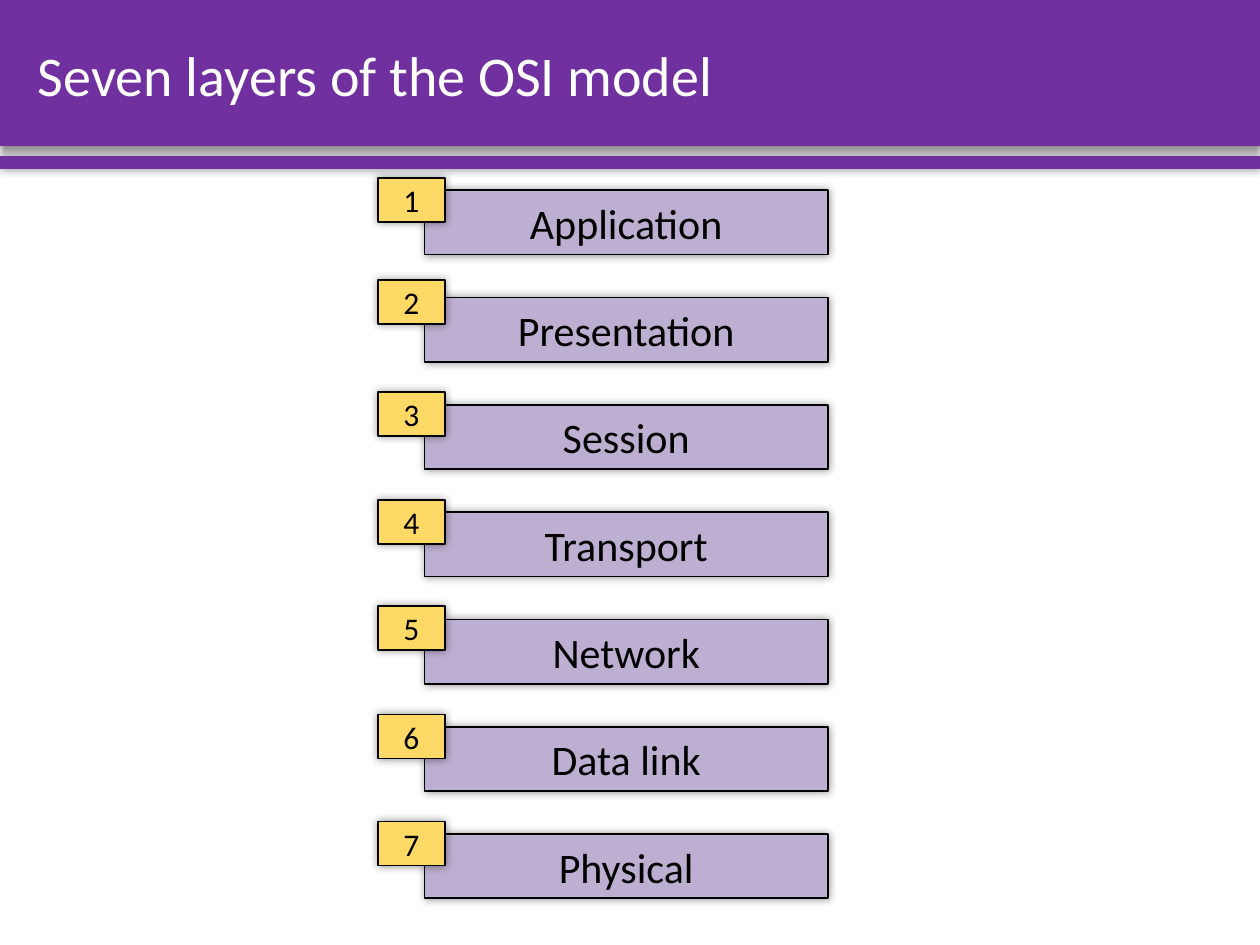
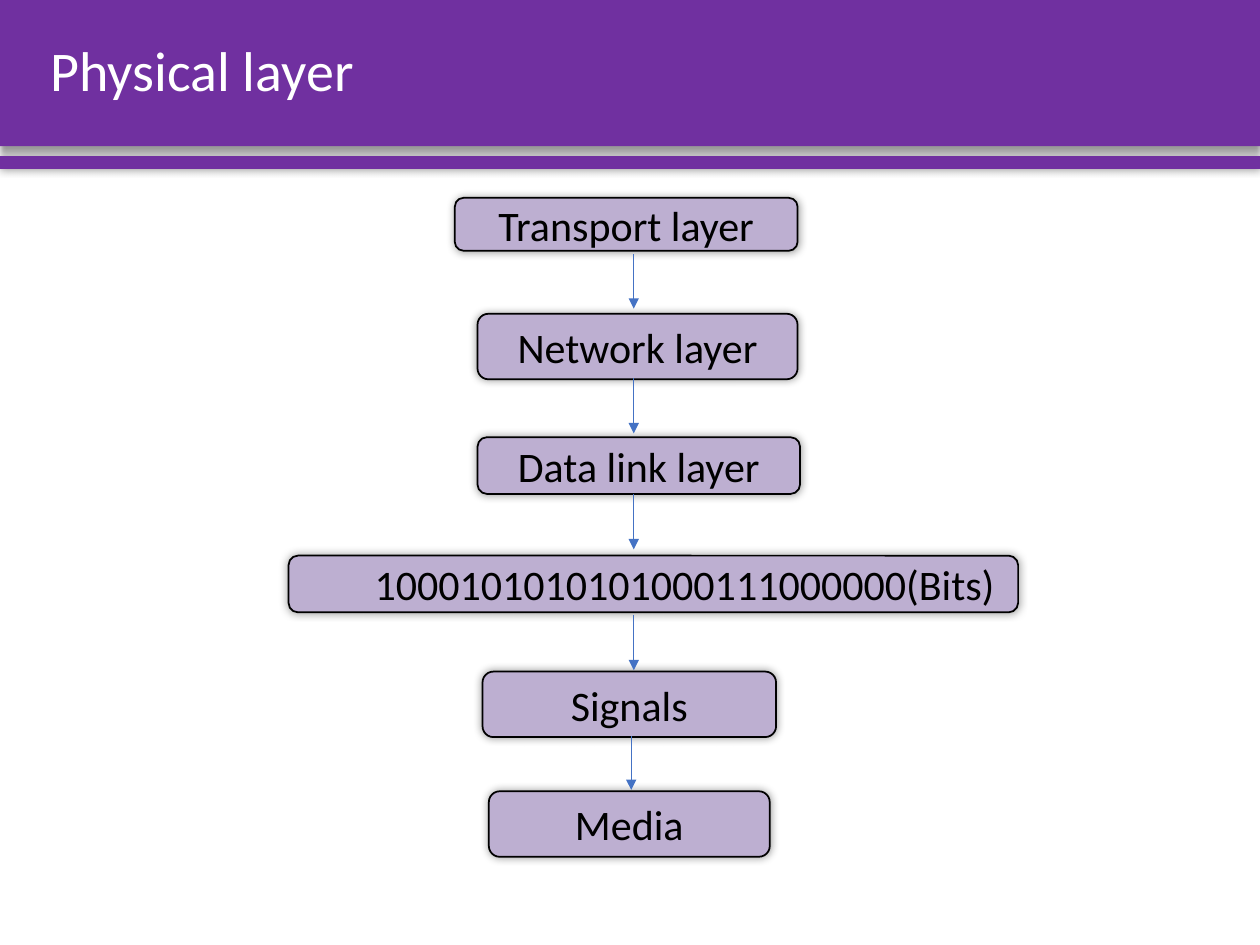
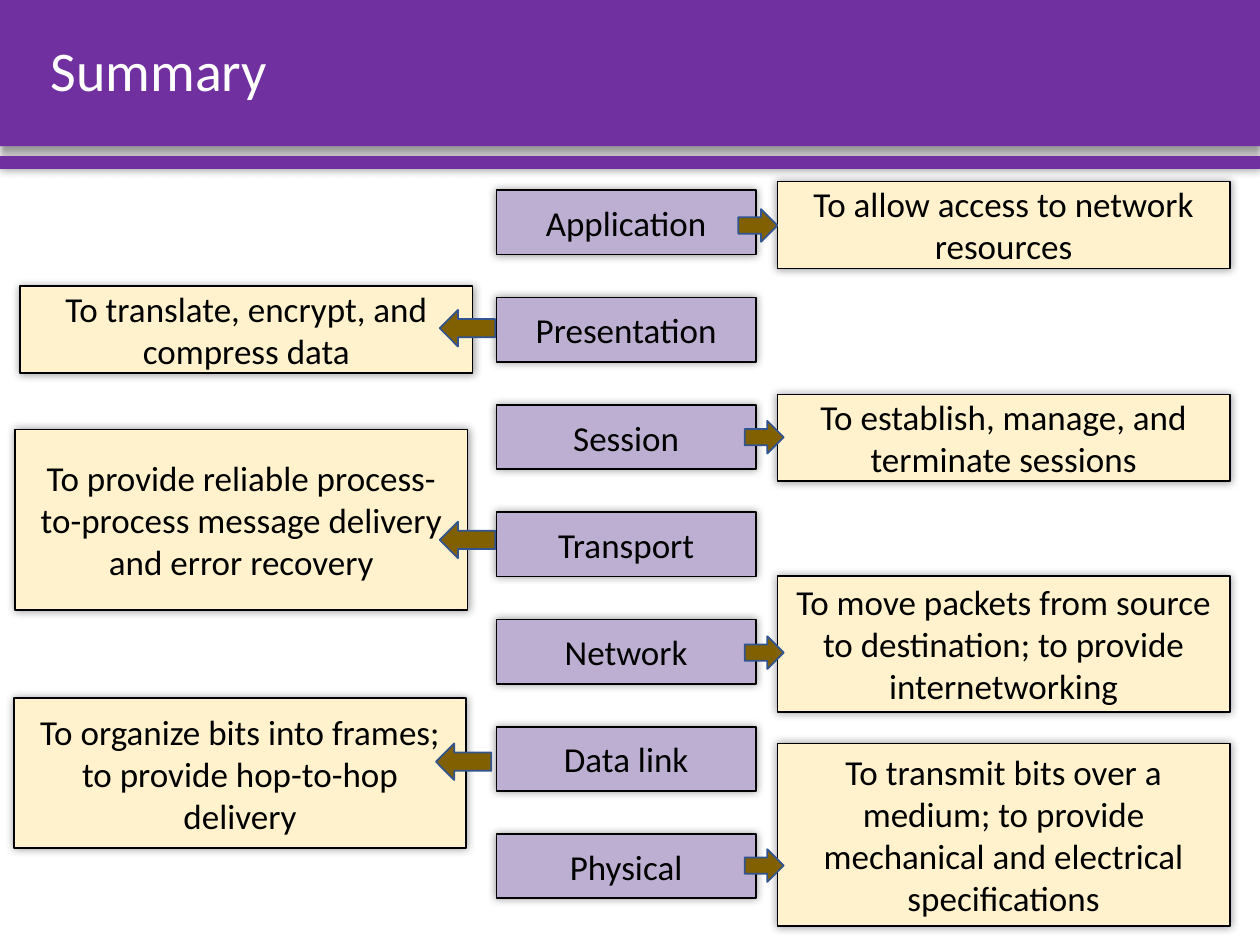
"""Build three slides on the OSI model."""
from dataclasses import dataclass

from lxml.etree import SubElement
from pptx import Presentation
from pptx.dml.color import RGBColor
from pptx.enum.shapes import MSO_CONNECTOR, MSO_SHAPE
from pptx.enum.text import MSO_ANCHOR, MSO_AUTO_SIZE, PP_ALIGN
from pptx.oxml.ns import qn
from pptx.util import Inches, Pt

WIDTH, HEIGHT = Inches(10), Inches(7.5)
COLUMN, ROW = WIDTH / 100, HEIGHT / 75
FONT = "Calibri"
PURPLE, LILAC, GOLD, CREAM = "7030A0", "BDAFD1", "FFD966", "FFF2CC"
BROWN, NAVY, BLUE, BLACK, WHITE = "806000", "325491", "4472C4", "000000", "FFFFFF"
LAYERS = ("Application", "Presentation", "Session", "Transport",
          "Network", "Data link", "Physical")
FIRST_ROW, LAST_ROW, LAYER_ROWS = 15.1, 66.2, 5.1
LAYER_PITCH = (LAST_ROW - FIRST_ROW) / (len(LAYERS) - 1)
BADGE_ROWS = (14.1, 22.2, 31.1, 39.7, 48.1, 56.7, 65.2)


@dataclass(frozen=True)
class Area:
    """A rectangle in grid columns and rows."""
    left: float
    top: float
    width: float
    height: float

    def place(self) -> tuple[int, int, int, int]:
        """Return the rectangle in slide units."""
        return (round(self.left * COLUMN), round(self.top * ROW),
                round(self.width * COLUMN), round(self.height * ROW))


@dataclass(frozen=True)
class Shadow:
    """A soft black shadow, in points and degrees."""
    blur: float = 5
    distance: float = 0
    angle: int = 0


@dataclass(frozen=True)
class Card:
    """A labelled box."""
    label: str
    area: Area
    level: int = 0


@dataclass(frozen=True)
class Arrow:
    """A vertical arrow down the physical layer chain."""
    column: float
    top: float
    bottom: float


CHAIN = (
    Card("Transport layer", Area(36.1, 15.7, 27.2, 4.2)),
    Card("Network layer", Area(37.9, 24.9, 25.4, 5.2)),
    Card("Data link layer", Area(37.9, 34.7, 25.6, 4.5)),
    Card("1000101010101000111000000(Bits)", Area(22.9, 44.1, 57.9, 4.5), 1),
    Card("Signals", Area(38.3, 53.3, 23.3, 5.2)),
    Card("Media", Area(38.8, 62.8, 22.3, 5.2)),
)
CHAIN_ARROWS = (
    Arrow(50.3, 20.2, 24.5), Arrow(50.3, 30, 34.4), Arrow(50.3, 39.2, 43.6),
    Arrow(50.3, 48.8, 53.2), Arrow(50.1, 58.4, 62.7),
)
DUTIES = (
    Card("To allow access to network resources", Area(61.7, 14.4, 35.9, 6.9)),
    Card("To translate, encrypt, and compress data", Area(1.6, 22.7, 35.9, 6.9)),
    Card("To establish, manage, and terminate sessions", Area(61.7, 31.3, 35.9, 6.9)),
    Card("To provide reliable process-to-process message delivery and error recovery",
         Area(1.2, 34.1, 35.9, 14.3)),
    Card("To move packets from source to destination; to provide internetworking",
         Area(61.7, 45.7, 35.9, 10.8)),
    Card("To organize bits into frames; to provide hop-to-hop delivery",
         Area(1.1, 55.4, 35.9, 11.9)),
    Card("To transmit bits over a medium; to provide mechanical and electrical specifications",
         Area(61.7, 59, 35.9, 14.5)),
)
LEFT_POINTERS = ((34.9, 24.6), (34.9, 41.4), (34.6, 59))
RIGHT_POINTERS = ((58.6, 16.6), (59.1, 33.4), (59.1, 50.5), (59.1, 67.4))


def color(code: str) -> RGBColor:
    """Turn a hex string into a colour."""
    return RGBColor.from_string(code)


def apply(target, formats: dict) -> None:
    """Set each named attribute on the target."""
    for name, value in formats.items():
        setattr(target, name, value)


def write(frame, label: str, size: float, code: str, align: PP_ALIGN, **formats) -> None:
    """Write one paragraph in the shared font."""
    apply(frame, {"word_wrap": True, "vertical_anchor": MSO_ANCHOR.MIDDLE})
    para = frame.paragraphs[0]
    apply(para, {"alignment": align, **formats})
    span = para.add_run()
    span.text = label
    apply(span.font, {"name": FONT, "size": Pt(size)})
    span.font.color.rgb = color(code)


def add_shadow(shape, shadow: Shadow) -> None:
    """Give a shape a soft outer shadow."""
    effects = shape.element.spPr.find(qn("a:effectLst"))
    outer = SubElement(effects, qn("a:outerShdw"), blurRad=str(Pt(shadow.blur)),
                       dist=str(Pt(shadow.distance)), dir=str(shadow.angle * 60000),
                       algn="ctr", rotWithShape="0")
    tint = SubElement(outer, qn("a:srgbClr"), val=BLACK)
    SubElement(tint, qn("a:alpha"), val="40000")


def add_block(shapes, kind: MSO_SHAPE, area: Area, fill: str,
              line: str | None = None, shadow: Shadow | None = None):
    """Draw a filled preset shape."""
    shape = shapes.add_shape(kind, *area.place())
    shape.shadow.inherit = False
    shape.fill.solid()
    shape.fill.fore_color.rgb = color(fill)
    if line:
        shape.line.color.rgb = color(line)
        shape.line.width = Pt(1)
    else:
        shape.line.fill.background()
    if shadow:
        add_shadow(shape, shadow)
    return shape


def add_card(shapes, card: Card, fill: str, size: float,
             kind: MSO_SHAPE = MSO_SHAPE.RECTANGLE) -> None:
    """Draw an outlined box with a centred label."""
    shape = add_block(shapes, kind, card.area, fill, BLACK, Shadow())
    write(shape.text_frame, card.label, size, BLACK, PP_ALIGN.CENTER, level=card.level)


def add_arrow(shapes, arrow: Arrow) -> None:
    """Draw a thin arrow pointing down."""
    left, top, _, drop = Area(arrow.column, arrow.top, 0, arrow.bottom - arrow.top).place()
    line = shapes.add_connector(MSO_CONNECTOR.STRAIGHT, left, top, left, top + drop)
    line.line.color.rgb = color(BLUE)
    line.line.width = Pt(0.5)
    properties = line.element.spPr
    SubElement(properties.find(qn("a:ln")), qn("a:tailEnd"), type="triangle")
    SubElement(properties, qn("a:effectLst"))


def add_layers(shapes, left: float, width: float, size: float) -> None:
    """Stack the seven layers at equal gaps."""
    for index, name in enumerate(LAYERS):
        area = Area(left, FIRST_ROW + index * LAYER_PITCH, width, LAYER_ROWS)
        add_card(shapes, Card(name, area), LILAC, size)


def add_bands(page, layout) -> None:
    """Draw the header bands and move them to the layout."""
    bands = ((Area(0, 0, 100, 11.6), Shadow(4, 3, 90)),
             (Area(0, 12.4, 100, 1), Shadow()))
    for index, (area, shadow) in enumerate(bands):
        band = add_block(page.shapes, MSO_SHAPE.RECTANGLE, area, PURPLE, shadow=shadow)
        band.element.nvSpPr.cNvPr.set("id", str(20 + index))
        layout.shapes.element.insert(2 + index, band.element)


def add_page(deck, title: str, margins: dict | None = None, **formats):
    """Add a slide with its title in the header band."""
    page = deck.slides.add_slide(deck.slide_layouts[5])
    heading = page.shapes.title
    names = ("left", "top", "width", "height")
    apply(heading, dict(zip(names, Area(3, 0, 94.6, 11.6).place())))
    apply(heading.text_frame, {"auto_size": MSO_AUTO_SIZE.NONE, **(margins or {})})
    write(heading.text_frame, title, 32, WHITE, PP_ALIGN.LEFT, **formats)
    return page


def build_layers(deck) -> None:
    """Build the numbered list of layers."""
    flush = {"margin_left": 0, "margin_right": 0,
             "margin_top": Inches(0.01), "margin_bottom": 0}
    page = add_page(deck, "Seven layers of the OSI model", flush)
    add_bands(page, deck.slide_layouts[5])
    add_layers(page.shapes, 33.7, 32, 24)
    for number, top in enumerate(BADGE_ROWS, 1):
        add_card(page.shapes, Card(str(number), Area(30, top, 5.3, 3.5)), GOLD, 18)


def build_physical(deck) -> None:
    """Build the chain from transport layer to media."""
    page = add_page(deck, "Physical layer", line_spacing=0.9)
    group = page.shapes.add_group_shape()
    for card in CHAIN:
        add_card(group.shapes, card, LILAC, 24, MSO_SHAPE.ROUNDED_RECTANGLE)
    for arrow in CHAIN_ARROWS:
        add_arrow(group.shapes, arrow)


def build_summary(deck) -> None:
    """Build the layers with their duties at both sides."""
    page = add_page(deck, "Summary", line_spacing=0.9)
    add_layers(page.shapes, 39.4, 20.6, 20)
    for duty in DUTIES:
        add_card(page.shapes, duty, CREAM, 20)
    pointers = ((MSO_SHAPE.LEFT_ARROW, LEFT_POINTERS, 4.4, 2.9),
                (MSO_SHAPE.RIGHT_ARROW, RIGHT_POINTERS, 3.1, 2.6))
    for kind, corners, width, height in pointers:
        for left, top in corners:
            add_block(page.shapes, kind, Area(left, top, width, height), BROWN, NAVY)


def main() -> None:
    """Build and save the deck."""
    deck = Presentation()
    apply(deck, {"slide_width": WIDTH, "slide_height": HEIGHT})
    for build in (build_layers, build_physical, build_summary):
        build(deck)
    deck.save("out.pptx")


if __name__ == "__main__":
    main()
